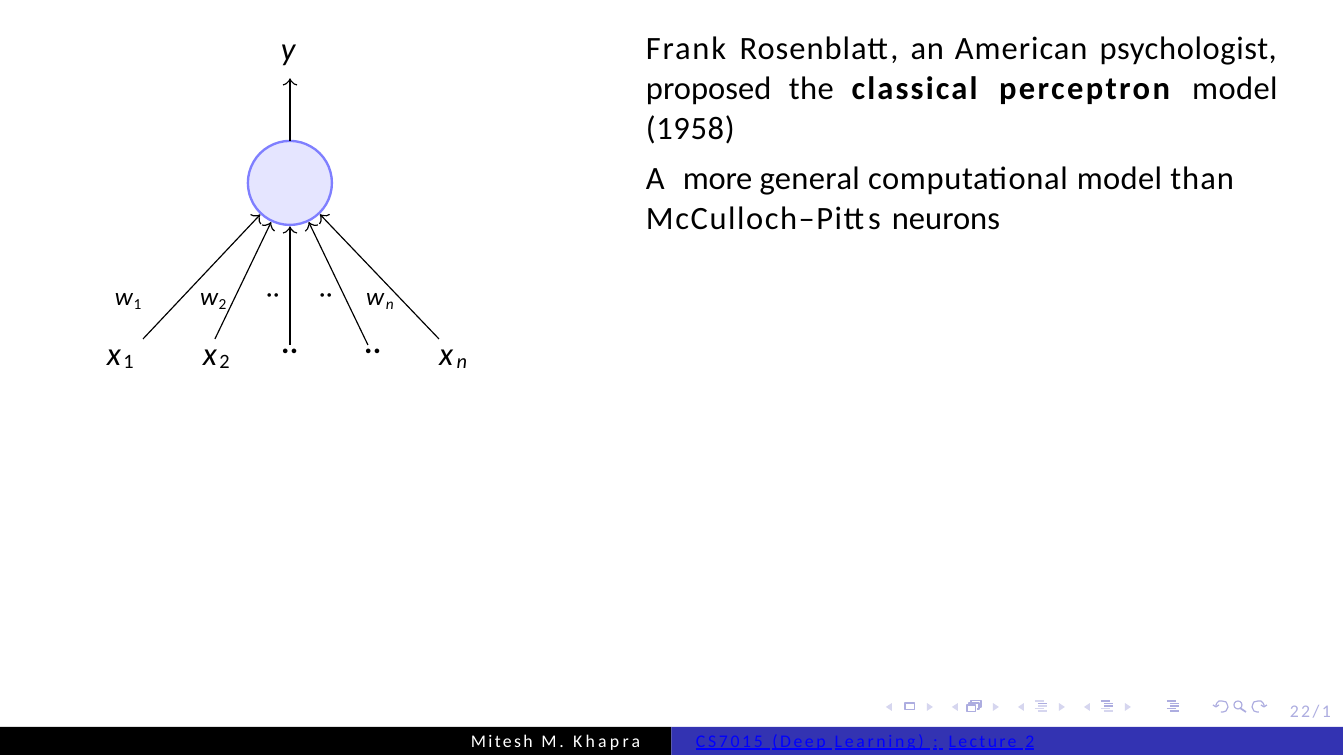
import math

import pptx
import pptx.dml.color
import pptx.enum.shapes
import pptx.enum.text
import pptx.oxml
import pptx.oxml.ns
import pptx.util

EMU_PER_PX = 914400 / 213
BLACK, WHITE, NAVY, LINK = "000000", "FFFFFF", "3333B2", "0000FF"
ICON, PALE_ICON = "ADADE0", "D6D6EF"
DOTS = "··"


def px(length):
    """Turn pixels into EMU."""
    return pptx.util.Emu(round(length * EMU_PER_PX))


def color(value):
    """Turn a hex string into a colour."""
    return pptx.dml.color.RGBColor.from_string(value)


def paint(shape, fill=None, line=None, weight=0.4):
    """Set fill and outline of a shape and remove its shadow."""
    shape.shadow.inherit = False
    if fill:
        shape.fill.solid()
        shape.fill.fore_color.rgb = color(fill)
    else:
        shape.fill.background()
    if line:
        shape.line.color.rgb = color(line)
        shape.line.width = pptx.util.Pt(weight)
    else:
        shape.line.fill.background()


def add_outline(page, points, closed=False, **style):
    """Draw a polyline or polygon through points."""
    corners = [(px(x), px(y)) for x, y in points]
    builder = page.shapes.build_freeform(*corners[0], scale=1.0)
    builder.add_line_segments(corners[1:], close=closed)
    paint(builder.convert_to_shape(), **style)


def add_line(page, start, end, line=BLACK, weight=0.4):
    """Draw a straight line."""
    connector = page.shapes.add_connector(
        pptx.enum.shapes.MSO_CONNECTOR.STRAIGHT, *map(px, (*start, *end)))
    connector.line.color.rgb = color(line)
    connector.line.width = pptx.util.Pt(weight)
    properties = connector._element.spPr
    properties.append(pptx.oxml.parse_xml(
        f'<a:effectLst {pptx.oxml.ns.nsdecls("a")}/>'))


def add_arrow(page, start, end):
    """Draw a line that ends in a curved open head."""
    add_line(page, start, end)
    length = math.dist(start, end)
    back_x, back_y = ((a - b) / length for a, b in zip(start, end))
    head = [(6, -7), (5, -4), (2, -1), (0, 0), (2, 1), (5, 4), (6, 7)]
    add_outline(page, [(end[0] + back * back_x - side * back_y,
                        end[1] + back * back_y + side * back_x)
                       for back, side in head], line=BLACK)


def add_preset(page, kind, left, top, width, height, **style):
    """Draw a preset shape."""
    shape = page.shapes.add_shape(kind, *map(px, (left, top, width, height)))
    paint(shape, **style)


def add_span(para, text, size=11, ink=BLACK, spacing=0, bold=False,
             italic=False, underline=False, baseline=0):
    """Add formatted text to a paragraph."""
    span = para.add_run()
    span.text = text
    font = span.font
    font.name, font.size = "Calibri", pptx.util.Pt(size)
    font.bold, font.italic, font.underline = bold, italic, underline
    font.color.rgb = color(ink)
    properties = font._element
    properties.set("spc", str(round(spacing * 100)))
    if baseline:
        properties.set("baseline", str(baseline * 1000))


def fill_box(box, spans, inset=2, tab=None, line_spacing=None, align="LEFT", **style):
    """Fill a box with one paragraph of (text, format) spans."""
    frame = box.text_frame
    frame.word_wrap = True
    frame.auto_size = pptx.enum.text.MSO_AUTO_SIZE.NONE
    frame.vertical_anchor = pptx.enum.text.MSO_ANCHOR.TOP
    frame.margin_left = frame.margin_right = frame.margin_bottom = 0
    frame.margin_top = px(inset)
    para = frame.paragraphs[0]
    if tab:
        para._p.get_or_add_pPr().append(pptx.oxml.parse_xml(
            f'<a:tabLst {pptx.oxml.ns.nsdecls("a")}>'
            f'<a:tab pos="{px(tab)}" algn="l"/></a:tabLst>'))
    para.alignment = getattr(pptx.enum.text.PP_ALIGN, align)
    para.space_before = pptx.util.Pt(0)
    if line_spacing:
        para.line_spacing = line_spacing
    for text, changes in spans:
        add_span(para, text, **{**style, **changes})


def add_text(page, left, top, width, height, spans, **style):
    """Add a text box."""
    box = page.shapes.add_textbox(*map(px, (left, top, width, height)))
    fill_box(box, spans, **style)


def symbol(letter, index, size, drop, spacing):
    """Return the spans of an italic letter with a lowered index."""
    return [(letter, {"spacing": spacing}),
            (index, {"size": size, "baseline": drop, "spacing": spacing + 0.3,
                     "italic": index == "n"})]


def add_perceptron(page, left, top):
    """Draw the neuron with its inputs, weights and output."""
    center_x, center_y, radius, reach = left + 196, top + 157, 42, 44
    add_preset(page, pptx.enum.shapes.MSO_SHAPE.OVAL, center_x - radius,
               center_y - radius, 2 * radius, 2 * radius,
               fill="E5E5FF", line="7F7FFF", weight=0.8)
    for x, y in [(49, 313), (121, 313), (196, 319), (274, 319), (345, 313)]:
        start = left + x, top + y
        ratio = reach / math.dist(start, (center_x, center_y))
        add_arrow(page, start, (center_x + ratio * (start[0] - center_x),
                                center_y + ratio * (start[1] - center_y)))
    add_arrow(page, (center_x, center_y - radius), (center_x, top + 53))
    dots = [(DOTS, {"spacing": 0.2})]
    inputs = symbol("x", "1\t", 12, -10, 0.8) + symbol("x", "2", 12, -10, 0.8)
    for x, y, width, spans in [(187, 0, 24, [("y", {"spacing": 0.4})]),
                               (13, 302, 130, inputs),
                               (187, 300, 24, dots), (270, 300, 24, dots),
                               (345, 302, 45, symbol("x", "n", 12, -10, 1.2))]:
        add_text(page, left + x, top + y, width, 45, spans, tab=96, italic=True)
    weights = [(21, 249, symbol("w", "1", 9, -14, 0.2)),
               (106, 249, symbol("w", "2", 9, -14, 0.2)),
               (172, 247, [(f"{DOTS}\t{DOTS}", {"spacing": 0.2})]),
               (272, 249, symbol("w", "n", 9, -14, 0.6))]
    for x, y, spans in weights:
        add_text(page, left + x, top + y, 70, 36, spans,
                 inset=4, tab=53, size=8.5, italic=True)


def spaced(*pairs):
    """Return spans from (text, letter spacing) pairs."""
    return [(text, {"spacing": spacing}) for text, spacing in pairs]


def add_statements(page, left, top, width):
    """Place the title and the statement under it."""
    title = page.shapes.title
    title.left, title.top, title.width, title.height = map(px, (left, top, width, 126))
    opening = spaced(("Frank ", 0.6), ("Rosenblatt, ", 0.3), ("an ", 0.2),
                     ("American ", 0.3), ("psychologist, ", 0.2),
                     ("proposed", 0), (" the ", 0.1))
    model = [("classical ", {"spacing": 0.7, "bold": True}),
             ("perceptron ", {"spacing": 0.8, "bold": True})]
    closing = spaced(("model ", 0.1), ("(1958)", 0.2))
    fill_box(title, opening + model + closing, inset=3, line_spacing=1.03, align="JUSTIFY")
    add_text(page, left, top + 130, width, 86, spaced(
        ("A ", 1.8), ("more ", -0.1), ("general ", 0.1), ("computational ", 0.2),
        ("model ", 0.1), ("than ", 0.3), ("McCulloch–Pitts ", 0.5),
        ("neurons", 0)), inset=3, line_spacing=1.03)


def add_navigation(page, left, top):
    """Draw the row of navigation icons."""
    pitch, middle = 66, top + 6
    for group in range(4):
        x = left + group * pitch
        for tip, base in [(x, x + 6), (x + 47, x + 41)]:
            add_outline(page, [(base, middle - 4), (tip, middle), (base, middle + 4)],
                        closed=True, fill=PALE_ICON)
    for x, y, width in [(19, 2, 10), (pitch + 15, 4, 9)]:
        add_preset(page, pptx.enum.shapes.MSO_SHAPE.RECTANGLE,
                   left + x, top + y, width, 7, line=ICON)
    for shift in (0, 1):
        x, y = left + pitch + 17 + 2 * shift, top + 2 - 2 * shift
        add_outline(page, [(x, y + 2), (x, y), (x + 10, y), (x + 10, y + 6),
                           (x + 8, y + 6)], line=ICON)
    for group, dark_rows in [(2, [1]), (3, [0, 1, 2]), (4, range(5))]:
        for row, indent in enumerate([0, 3, 3, 0, 3]):
            x, y = left + group * pitch + 17 + indent, top + 2.5 * row
            add_line(page, (x, y), (x + 9, y), ICON if row in dark_rows else PALE_ICON, 0.6)
    axis = left + 354
    add_preset(page, pptx.enum.shapes.MSO_SHAPE.OVAL, axis - 6, top, 8, 8, line=ICON)
    add_line(page, (axis, top + 7), (axis + 6, top + 11), ICON, 0.6)
    arc = [(19, 11), (17, 11), (14, 10), (13, 8), (12, 6), (13, 3), (14, 1),
           (18, 0), (21, 0), (23, 2), (24, 4), (24, 6)]
    for side in (-1, 1):
        for points in (arc, [(21, 4), (24, 6), (27, 4)]):
            add_outline(page, [(axis + side * x, top + y) for x, y in points], line=ICON)


def add_footer(page, left, top, width, height):
    """Draw the two footer bars with author, lecture and page number."""
    half = width / 2
    for x, fill in [(left, BLACK), (left + half, NAVY)]:
        add_preset(page, pptx.enum.shapes.MSO_SHAPE.RECTANGLE, x, top, half, height, fill=fill)
    author = spaced(("Mitesh ", 0.8), ("M. ", 0.9), ("Khapra", 1.1))
    lecture = spaced(("CS7015 ", 0.9), ("(Deep ", 0.85), ("Learning) ", 0.9),
                     (":", 0.5), (" ", 1.8), ("Lecture ", 0.8), ("2", 0.6))
    for x, y, room, spans, style in [
            (471, 4, 185, author, {"ink": WHITE}),
            (696, 4, 352, lecture, {"ink": LINK, "underline": True}),
            (1290, -26, 52, spaced(("22/1", 0.8)), {"ink": ICON})]:
        add_text(page, left + x, top + y, room, 23, spans, inset=0, size=6,
                 line_spacing=pptx.util.Pt(6.7), **style)


def main():
    """Build the deck."""
    deck = pptx.Presentation()
    deck.slide_width, deck.slide_height = px(1344), px(756)
    page = deck.slides.add_slide(deck.slide_layouts[5])
    add_navigation(page, 886, 701)
    add_perceptron(page, 94, 26)
    add_statements(page, 646, 23, 632)
    add_footer(page, 0, 727, 1343, 28)
    deck.save("out.pptx")


if __name__ == "__main__":
    main()
